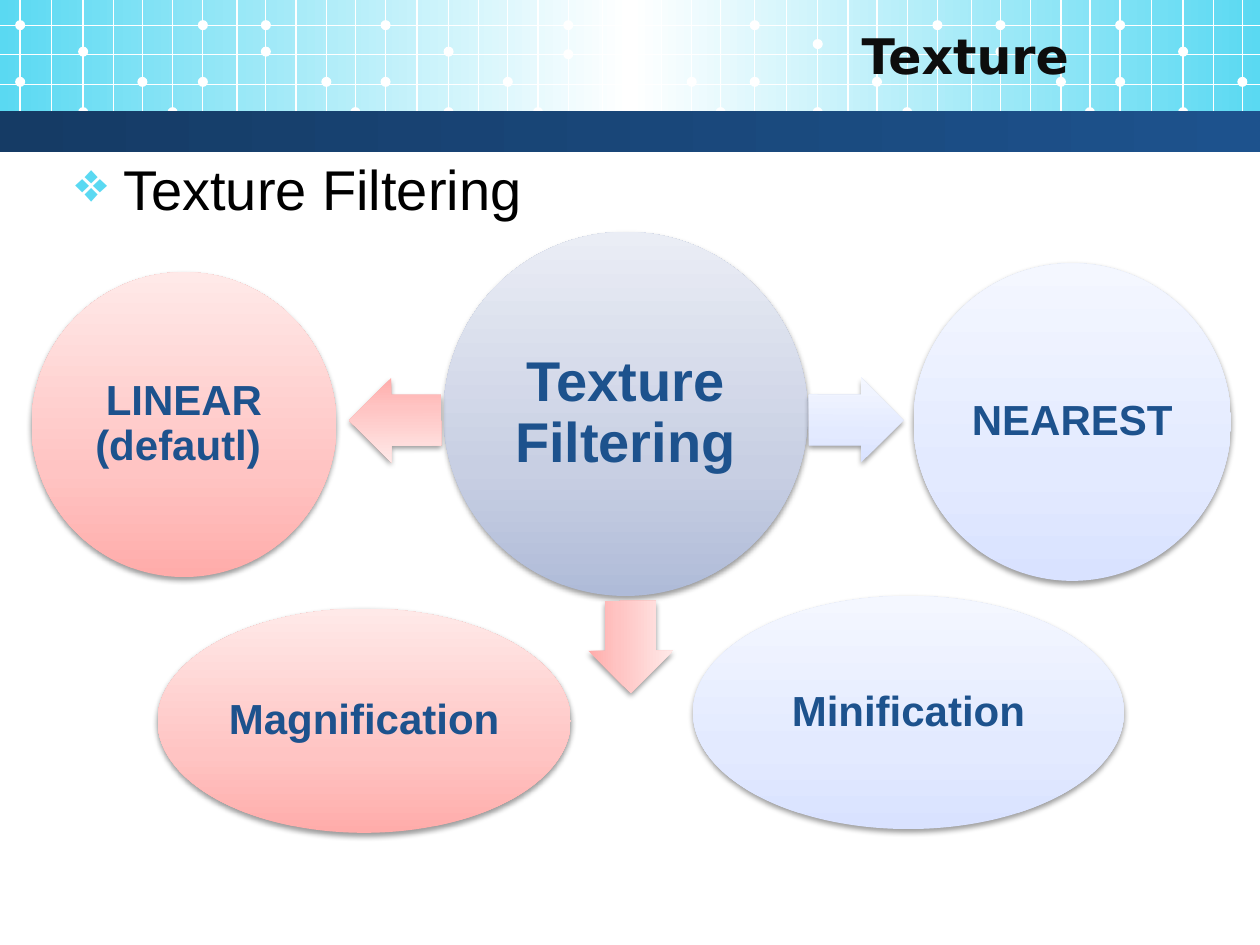
import copy

import pptx
import pptx.dml.color
import pptx.enum.shapes
import pptx.enum.text
import pptx.oxml
import pptx.oxml.ns
import pptx.util

Inches = pptx.util.Inches
Pt = pptx.util.Pt
SHAPE = pptx.enum.shapes.MSO_SHAPE
ALIGN = pptx.enum.text.PP_ALIGN
MIDDLE = pptx.enum.text.MSO_ANCHOR.MIDDLE

COLORS = {"cyan": "5AD9F2", "white": "FFFFFF", "navy": "153B65", "blue": "1D528D",
          "ink": "0D0D0D", "black": "000000"}
GRADIENTS = {
    "banner": [(0, "5AD9F2"), (0.5, "FFFFFF"), (1, "5AD9F2")],
    "bar": [(0, COLORS["navy"]), (1, COLORS["blue"])],
    "steel": [(0, "AFBBD8"), (0.35, "C8CFE3"), (1, "EAEDF5")],
    "lavender": [(0, "D9E2FF"), (0.35, "E3EAFF"), (1, "F4F7FF")],
    "pink": [(0, "FFACAA"), (0.35, "FFC4C3"), (1, "FFE9E8")],
}
PANEL_STARTS = [0.16, 3.06, 5.99, 8.89]
COLUMNS = [0, 0.25, 0.5, 0.74, 0.97, 1.21, 1.45, 1.72, 1.95, 2.19, 2.43, 2.66]
ROWS = [0.2, 0.43, 0.67, 0.89]
DOTS = [(0, 0.2), (0, 0.65), (0.5, 0.41), (0.5, 0.89), (0.97, 0.65), (1.21, 0.89),
        (1.45, 0.2), (1.45, 0.65), (1.95, 0.2), (1.95, 0.41), (2.43, 0.65), (2.66, 0.89)]
MOVED_DOTS = {(1, 1.45, 0.65): 0.43, (2, 0.5, 0.41): 0.35, (2, 1.45, 0.65): 0.51}
DOT_SIZE = 0.08


def rgb(name):
    return pptx.dml.color.RGBColor.from_string(COLORS.get(name, name))


def set_values(target, values):
    for name, value in values.items():
        setattr(target, name, value)


def add_effects(shape, content=""):
    shape._element.spPr.append(pptx.oxml.parse_xml(
        f'<a:effectLst {pptx.oxml.ns.nsdecls("a")}>{content}</a:effectLst>'))


def add_soft_shadow(shape):
    add_effects(shape, '<a:outerShdw blurRad="40000" dist="20000" dir="5400000" rotWithShape="0">'
                       '<a:srgbClr val="000000"><a:alpha val="38000"/></a:srgbClr></a:outerShdw>')


def add_filled(page, kind, box, gradient=None, angle=90):
    shape = page.shapes.add_shape(kind, *map(Inches, box))
    shape.line.fill.background()
    if gradient is None:
        shape.fill.solid()
        shape.fill.fore_color.rgb = rgb("white")
        return shape
    stops = GRADIENTS[gradient]
    shape.fill.gradient()
    shape.fill.gradient_angle = angle
    stop_list = shape._element.spPr.find(".//" + pptx.oxml.ns.qn("a:gsLst"))
    for _ in range(len(stops) - 2):
        stop_list.append(copy.deepcopy(stop_list[0]))
    for stop, (position, color) in zip(shape.fill.gradient_stops, stops):
        stop.color.rgb = rgb(color)
        stop.position = position
    return shape


def write(shape, text, color, frame_values, para_values, font_values):
    frame = shape.text_frame
    set_values(frame, {"word_wrap": True, **frame_values})
    para = frame.paragraphs[0]
    set_values(para, para_values)
    span = para.add_run()
    span.text = text
    set_values(span.font, font_values)
    span.font.color.rgb = rgb(color)
    return para


def add_grid_line(page, start, end):
    line = page.shapes.add_connector(pptx.enum.shapes.MSO_CONNECTOR.STRAIGHT,
                                     *map(Inches, start + end))
    line.line.width = Pt(0.75)
    line.line.color.rgb = rgb("white")
    add_effects(line)


def add_banner(page, box):
    left, top, width, height = box
    add_filled(page, SHAPE.RECTANGLE, (left, top, width, 1.02), "banner", 0).shadow.inherit = False
    for panel, start in enumerate(PANEL_STARTS):
        for column in COLUMNS:
            if start + column < width:
                x = left + start + column
                add_grid_line(page, (x, top), (x, top + 1.1))
        for column, row in DOTS:
            if start + column < width:
                y = MOVED_DOTS.get((panel, column, row), row)
                dot = add_filled(page, SHAPE.OVAL, (left + start + column - DOT_SIZE / 2,
                                                    top + y - DOT_SIZE / 2, DOT_SIZE, DOT_SIZE))
                dot.shadow.inherit = False
    for row in ROWS:
        add_grid_line(page, (left, top + row), (left + width, top + row))
    bar = add_filled(page, SHAPE.RECTANGLE, (left, top + height - 0.33, width, 0.33), "bar", 0)
    bar.shadow.inherit = False


def add_title(page, box, text):
    write(page.shapes.add_textbox(*map(Inches, box)), text, "ink",
          {"vertical_anchor": MIDDLE}, {"alignment": ALIGN.RIGHT},
          {"name": "DejaVu Sans", "size": Pt(28), "bold": True})


def add_heading(page, box, text):
    para = write(page.shapes.add_textbox(*map(Inches, box)), text, "black", {},
                 {"space_before": Pt(4)}, {"name": "Arial", "size": Pt(32)})
    properties = para._p.get_or_add_pPr()
    properties.set("marL", str(Inches(0.38)))
    properties.set("indent", str(-Inches(0.38)))
    names = pptx.oxml.ns.nsdecls("a")
    for bullet in (f'<a:buClr {names}><a:srgbClr val="{COLORS["cyan"]}"/></a:buClr>',
                   f'<a:buChar {names} char="❖"/>'):
        properties.append(pptx.oxml.parse_xml(bullet))


def add_bubble(page, box, text, gradient, size=24):
    bubble = add_filled(page, SHAPE.OVAL, box, gradient)
    add_soft_shadow(bubble)
    margins = dict.fromkeys(("margin_left", "margin_top", "margin_right", "margin_bottom"),
                            Inches(0.03))
    write(bubble, text, "blue", {"vertical_anchor": MIDDLE, **margins},
          {"alignment": ALIGN.CENTER, "line_spacing": 0.9},
          {"name": "Arial", "size": Pt(size), "bold": True})


def add_arrow(page, box, rotation, gradient):
    arrow = add_filled(page, SHAPE.RIGHT_ARROW, box, gradient)
    arrow.adjustments[0] = 0.6
    arrow.adjustments[1] = 0.5
    arrow.rotation = rotation
    add_soft_shadow(arrow)


def add_filter_diagram(page, box):
    left, top = box[:2]
    bubbles = [
        ((3.27, 0, 2.89, 2.89), "Texture Filtering", "steel", 32),
        ((7, 0.25, 2.52, 2.52), "NEAREST", "lavender", 24),
        ((0, 0.32, 2.42, 2.42), "LINEAR (defautl) ", "pink", 24),
        ((5.25, 2.89, 3.42, 1.85), "Minification", "lavender", 24),
        ((1, 2.99, 3.28, 1.78), "Magnification", "pink", 24),
    ]
    arrows = [
        ((6.17, 1.16, 0.75, 0.67), 0.1, "lavender"),
        ((2.52, 1.16, 0.73, 0.67), 179.9, "pink"),
        ((4.39, 2.96, 0.73, 0.67), 89.9, "pink"),
    ]
    for (x, y, width, height), *style in bubbles:
        add_bubble(page, (left + x, top + y, width, height), *style)
    for (x, y, width, height), *style in arrows:
        add_arrow(page, (left + x, top + y, width, height), *style)


def main():
    deck = pptx.Presentation()
    set_values(deck, {"slide_width": Inches(10), "slide_height": Inches(7.5)})
    page = deck.slides.add_slide(deck.slide_layouts[6])
    add_banner(page, (0, 0, 10, 1.21))
    add_filter_diagram(page, (0.25, 1.84, 9.52, 4.77))
    add_title(page, (0.5, 0, 8.08, 0.87), "Texture")
    add_heading(page, (0.5, 1.18, 9, 5.74), "Texture Filtering")
    deck.save("out.pptx")


if __name__ == "__main__":
    main()
